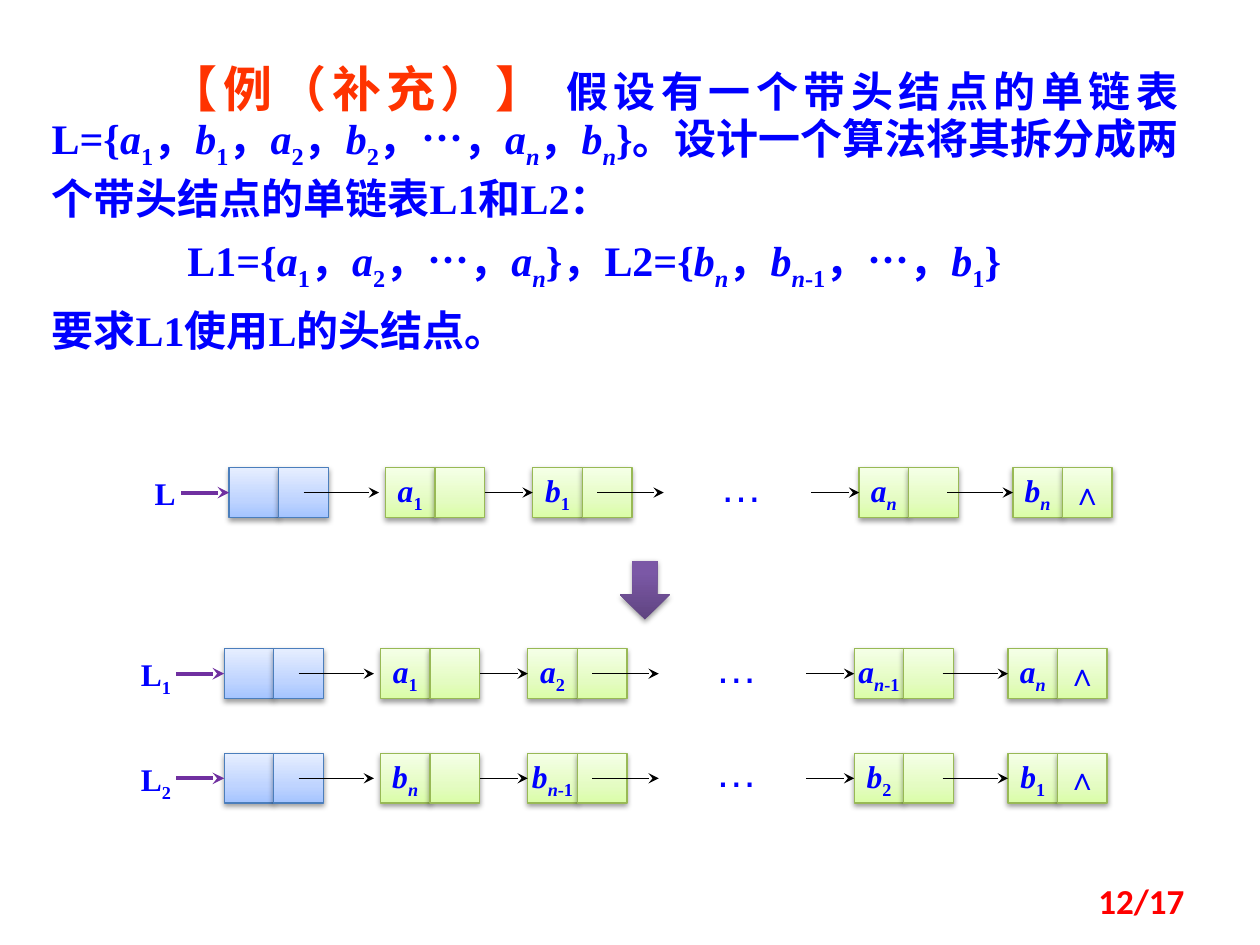
import pptx
import pptx.dml.color
import pptx.enum.shapes
import pptx.enum.text
import pptx.oxml
import pptx.oxml.ns
import pptx.util
from pptx.util import Cm, Pt

COLORS = {"text": "0000FF", "heading": "FF3300", "page": "FF0000",
          "entry": "7030A0", "link": "000000", "head": "4B7EBC", "data": "98B955"}
GRADIENTS = {
    "head": [(0, "A4C4FF"), (35, "BFD4FF"), (100, "E6EEFF")],
    "data": [(0, "DAFDA7"), (35, "E4FCC2"), (100, "F5FFE7")],
    "arrow": [(0, "5F4480"), (80, "7B58A6"), (100, "7C57A8")],
}
SERIF, CHINESE = "Times New Roman", "Noto Sans CJK SC"
CELL = 1
NODE_OFFSETS = [3.15, 6.12, 12.7, 15.8]
ALIGN = pptx.enum.text.PP_ALIGN
ANCHOR = pptx.enum.text.MSO_ANCHOR
SHAPE = pptx.enum.shapes.MSO_SHAPE
SIDE_LEFT, SIDE_RIGHT = 1, 3


def rgb(name):
    """Return the named colour."""
    return pptx.dml.color.RGBColor.from_string(COLORS[name])


def add_span(para, text, size=18, color="text", font=SERIF, asian=None, bold=True):
    """Add spans split at |, where / is italic, _ subscript, ~ both and @ the Chinese font."""
    for part in text.split("|"):
        mark = part[0] if part[0] in "/_~@" else ""
        span = para.add_run()
        span.text = part[len(mark):]
        span.font.size = Pt(size)
        span.font.bold = bold
        span.font.italic = mark in ("/", "~")
        span.font.color.rgb = rgb(color)
        span.font.name = CHINESE if mark == "@" else font
        properties = span._r.get_or_add_rPr()
        if mark in ("_", "~"):
            properties.set("baseline", "-25000")
        if asian:
            latin = properties.find(pptx.oxml.ns.qn("a:latin"))
            latin.addnext(pptx.oxml.parse_xml(
                f'<a:ea {pptx.oxml.ns.nsdecls("a")} typeface="{asian}"/>'))


def add_box(page, left, top, width, height, text="", align=ALIGN.LEFT,
            anchor=ANCHOR.TOP, **format):
    """Add a wrapping text box and return its frame."""
    frame = page.shapes.add_textbox(Cm(left), Cm(top), Cm(width), Cm(height)).text_frame
    frame.word_wrap = True
    frame.vertical_anchor = anchor
    frame.paragraphs[0].alignment = align
    if text:
        add_span(frame.paragraphs[0], text, **format)
    return frame


def add_glossy(page, kind, left, top, width, height, style):
    """Add a shape with a vertical gradient and a soft shadow."""
    shape = page.shapes.add_shape(kind, Cm(left), Cm(top), Cm(width), Cm(height))
    namespace = pptx.oxml.ns.nsdecls("a")
    shape.fill.gradient()
    shape.fill.gradient_angle = 90
    stops = "".join(f'<a:gs pos="{place * 1000}"><a:srgbClr val="{color}"/></a:gs>'
                    for place, color in GRADIENTS[style])
    properties = shape._element.spPr
    old = properties.find(".//" + pptx.oxml.ns.qn("a:gsLst"))
    old.getparent().replace(old, pptx.oxml.parse_xml(
        f"<a:gsLst {namespace}>{stops}</a:gsLst>"))
    if style in COLORS:
        shape.line.color.rgb = rgb(style)
        shape.line.width = Pt(0.75)
    else:
        shape.line.fill.background()
    shape.shadow.inherit = False
    properties.find(pptx.oxml.ns.qn("a:effectLst")).append(pptx.oxml.parse_xml(
        f'<a:outerShdw {namespace} blurRad="{Pt(3.1)}" dist="{Pt(1.6)}" dir="5400000" '
        'rotWithShape="0"><a:srgbClr val="000000"><a:alpha val="38000"/>'
        '</a:srgbClr></a:outerShdw>'))
    return shape


def add_cell(page, left, top, style, text=""):
    """Add one square field of a list node."""
    cell = add_glossy(page, SHAPE.RECTANGLE, left, top, CELL, CELL, style)
    frame = cell.text_frame
    frame.word_wrap = False
    frame.vertical_anchor = ANCHOR.MIDDLE
    frame.paragraphs[0].alignment = ALIGN.CENTER
    if text:
        add_span(frame.paragraphs[0], text)
    return cell


def add_link(page, start, end, y, color="link", width=0.75, source=None, target=None):
    """Add a horizontal pointer arrow, joined to the given cells."""
    link = page.shapes.add_connector(pptx.enum.shapes.MSO_CONNECTOR.STRAIGHT,
                                     Cm(start), Cm(y), Cm(end), Cm(y))
    link.line.color.rgb = rgb(color)
    link.line.width = Pt(width)
    namespace = pptx.oxml.ns.nsdecls("a")
    properties = link._element.spPr
    properties.find(pptx.oxml.ns.qn("a:ln")).append(
        pptx.oxml.parse_xml(f'<a:tailEnd {namespace} type="stealth"/>'))
    properties.append(pptx.oxml.parse_xml(f"<a:effectLst {namespace}/>"))
    if source is not None:
        link.begin_connect(source, SIDE_RIGHT)
    if target is not None:
        link.end_connect(target, SIDE_LEFT)


def add_list(page, left, top, label, values, label_offset):
    """Draw a linked list: label, head node, four data nodes and their pointers."""
    middle = top + CELL / 2
    add_box(page, left + label_offset, top, 1.55, 1.02, label)
    head = add_cell(page, left, top, "head")
    add_cell(page, left + CELL, top, "head")
    nodes = []
    for offset, value in zip(NODE_OFFSETS, values):
        tail_text = "∧" if offset == NODE_OFFSETS[-1] else ""
        nodes.append((add_cell(page, left + offset, top, "data", value),
                      add_cell(page, left + offset + CELL, top, "data", tail_text)))
    first, second, third, last = nodes
    add_box(page, left + 9.65, top - 0.28, 2.01, 1.27, "…",
            size=24, font="Arial", bold=False)
    add_link(page, left - 0.97, left, middle, "entry", 2.25, target=head)
    add_link(page, left + 1.5, left + 3.02, middle)
    add_link(page, left + 5.15, left + 6.12, middle, source=first[1], target=second[0])
    add_link(page, left + 7.42, left + 8.76, middle)
    add_link(page, left + 11.73, left + 12.7, middle, target=third[0])
    add_link(page, left + 14.48, left + 15.8, middle, target=last[0])


def add_problem(page, left, top, width, height):
    """Write the statement of the exercise."""
    frame = add_box(page, left, top, width, height)
    body = {"size": 24, "asian": CHINESE}
    intro = frame.paragraphs[0]
    intro.line_spacing = Pt(30)
    add_span(intro, "【例（补充）】 ", size=28, color="heading", asian=CHINESE)
    add_span(intro, "假设有一个带头结点的单链表L={|/a|_1|，|/b|_1|，|/a|_2|，|/b|_2|，|@…|，"
                    "|/a|~n|，|/b|~n|}。设计一个算法将其拆分成两个带头结点的单链表L1和L2：", **body)
    result = frame.add_paragraph()
    add_span(result, "L1={|/a|_1|，|/a|_2|，|@…|，|/a|~n|}，L2={|/b|~n|，|/b|~n|_-1|，|@…|，"
                     "|/b|_1|}", **body)
    demand = frame.add_paragraph()
    add_span(demand, "要求L1使用L的头结点。", **body)
    for para, indent, before in ((intro, 2.36, 0), (result, 2.74, 7), (demand, 0, 7)):
        para.alignment = ALIGN.JUSTIFY
        para.space_before = Pt(before)
        para._p.get_or_add_pPr().set("indent", str(Cm(indent)))


def main():
    """Build the slide and save it."""
    deck = pptx.Presentation()
    deck.slide_width, deck.slide_height = Cm(25.4), Cm(19.05)
    page = deck.slides.add_slide(deck.slide_layouts[6])
    add_problem(page, 0.79, 1.19, 23.22, 6.53)
    add_list(page, 4.62, 9.43, "L", ["/a|_1", "/b|_1", "/a|~n", "/b|~n"], -1.75)
    add_glossy(page, SHAPE.DOWN_ARROW, 12.5, 11.3, 1, 1.19, "arrow")
    add_list(page, 4.52, 13.08, "L|_1", ["/a|_1", "/a|_2", "/a|~n|_-1", "/a|~n"], -1.93)
    add_list(page, 4.52, 15.19, "L|_2", ["/b|~n", "/b|~n|_-1", "/b|_2", "/b|_1"], -1.93)
    add_box(page, 18.21, 17.65, 5.92, 1.02, "12/17", align=ALIGN.RIGHT,
            anchor=ANCHOR.MIDDLE, size=20, color="page", font="Calibri")
    deck.save("out.pptx")


if __name__ == "__main__":
    main()
